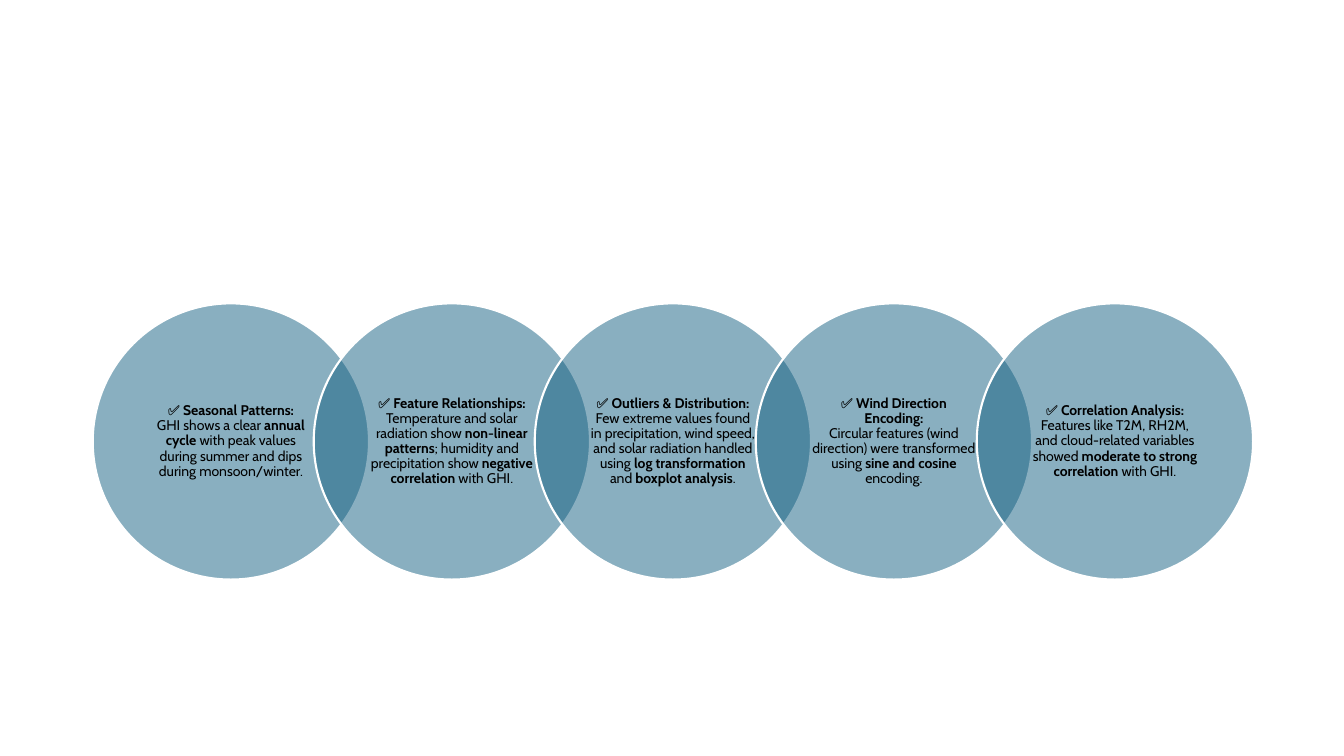
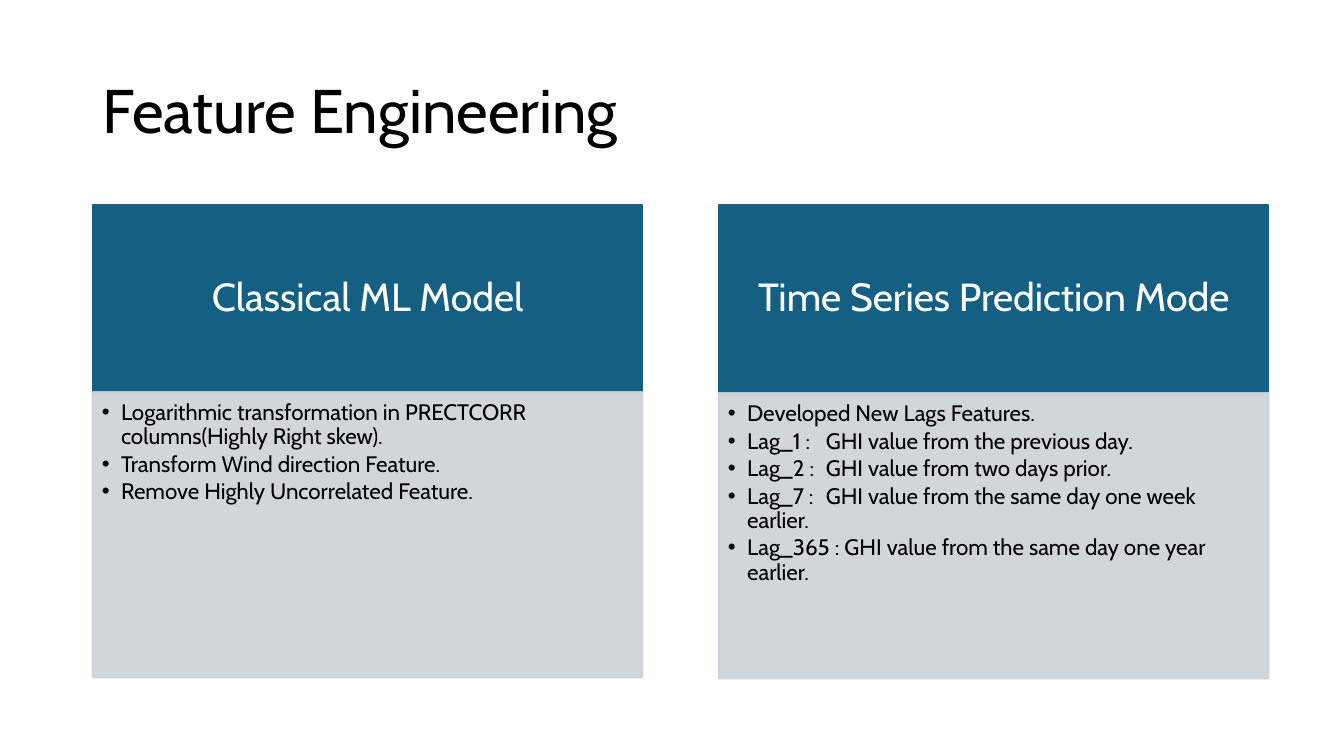
from copy import deepcopy

from lxml import etree
from pptx import Presentation
from pptx.dml.color import RGBColor
from pptx.enum import shapes, text
from pptx.oxml import ns
from pptx.util import Inches, Pt

FONT = "Cabin"
BLACK = RGBColor(0x00, 0x00, 0x00)
WHITE = RGBColor(0xFF, 0xFF, 0xFF)
TEAL = RGBColor(0x15, 0x60, 0x82)
GRAY = RGBColor(0xCC, 0xD2, 0xD8)
LEFT = 0.92


def style_shape(shape, fill, line, insets, anchor, alpha=100, line_alpha=100):
    shape.fill.solid()
    shape.fill.fore_color.rgb = fill
    shape.line.color.rgb = line
    shape.line.width = Pt(1.5)
    properties = shape._element.spPr
    line_element = properties.find(ns.qn("a:ln"))
    for parent, percent in ((properties, alpha), (line_element, line_alpha)):
        if percent < 100:
            color = parent.find(ns.qn("a:solidFill"))[0]
            etree.SubElement(color, ns.qn("a:alpha"), val=str(percent * 1000))
    frame = shape.text_frame
    frame.word_wrap = True
    frame.auto_size = text.MSO_AUTO_SIZE.NONE
    frame.vertical_anchor = anchor
    (frame.margin_left, frame.margin_top,
     frame.margin_right, frame.margin_bottom) = map(Inches, insets)


def style_paragraph(paragraph, size, color, align, space_after=0):
    paragraph.alignment = align
    paragraph.line_spacing = 0.9
    paragraph.space_before = Pt(0)
    paragraph.space_after = Pt(space_after)
    for run in paragraph.runs:
        run.font.name = FONT
        run.font.size = Pt(size)
        run.font.color.rgb = color
        run.font.bold = bool(run.font.bold)


presentation = Presentation()
presentation.slide_width = Inches(13.33)
presentation.slide_height = Inches(7.5)

FINDINGS = [
    ("Seasonal Patterns:",
     "GHI shows a clear |annual cycle| with peak values during summer and dips "
     "during monsoon/winter."),
    ("Feature Relationships:",
     "Temperature and solar radiation show |non-linear patterns|; humidity and "
     "precipitation show |negative correlation| with GHI."),
    ("Outliers & Distribution:",
     "Few extreme values found in precipitation, wind speed, and solar radiation "
     "handled using |log transformation| and |boxplot analysis|."),
    ("Wind Direction Encoding:",
     "Circular features (wind direction) were transformed using "
     "|sine and cosine| encoding."),
    ("Correlation Analysis:",
     "Features like T2M, RH2M, and cloud-related variables showed "
     "|moderate to strong correlation| with GHI."),
]
DIAMETER = 2.74
CIRCLE_STEP = DIAMETER * 0.8

slide = presentation.slides.add_slide(presentation.slide_layouts[6])
for index, (heading, finding) in enumerate(FINDINGS):
    circle = slide.shapes.add_shape(
        shapes.MSO_SHAPE.OVAL, Inches(LEFT + index * CIRCLE_STEP), Inches(3.01),
        Inches(DIAMETER), Inches(DIAMETER))
    circle.shadow.inherit = False
    style_shape(circle, TEAL, WHITE, (0.15, 0.01, 0.15, 0.01),
                text.MSO_ANCHOR.MIDDLE, alpha=50)
    paragraph = circle.text_frame.paragraphs[0]
    for position, part in enumerate(["✅ ", heading, *finding.split("|")]):
        run = paragraph.add_run()
        run.text = part
        run.font.bold = position % 2 == 1
        if position == 1:
            paragraph.add_line_break()
    style_paragraph(paragraph, 10, BLACK, text.PP_ALIGN.CENTER)
    line_break = paragraph._p.find(ns.qn("a:br"))
    line_break.append(deepcopy(paragraph.runs[1]._r.rPr))

PANELS = [
    ("Classical ML Model", 3.89, [
        "Logarithmic transformation in PRECTCORR columns(Highly Right skew).",
        "Transform Wind direction Feature.",
        "Remove Highly Uncorrelated Feature."]),
    ("Time Series Prediction Mode", 3.9, [
        "Developed New Lags Features.",
        "Lag_1 :\tGHI value from the previous day.",
        "Lag_2 :\tGHI value from two days prior.",
        "Lag_7 :\tGHI value from the same day one week earlier.",
        "Lag_365 : GHI value from the same day one year earlier."]),
]
PANEL_WIDTH = 5.45
PANEL_STEP = 6.21
HEADER_TOP = 2.03
BULLET_INDENT = Inches(0.19)
TAB_STOP = Inches(0.97)

slide = presentation.slides.add_slide(presentation.slide_layouts[4])
title = slide.shapes.title
title.left, title.top = Inches(LEFT), Inches(0.4)
title.width, title.height = Inches(11.5), Inches(1.45)
title.text_frame.text = "Feature Engineering"
title.text_frame.vertical_anchor = text.MSO_ANCHOR.MIDDLE
style_paragraph(title.text_frame.paragraphs[0], 44, BLACK, text.PP_ALIGN.LEFT)

for index, (heading, list_top, items) in enumerate(PANELS):
    header = slide.placeholders[1 + 2 * index]
    body = slide.placeholders[2 + 2 * index]
    for shape, top, height in ((header, HEADER_TOP, 1.86), (body, list_top, 2.83)):
        shape.left, shape.top = Inches(LEFT + index * PANEL_STEP), Inches(top)
        shape.width, shape.height = Inches(PANEL_WIDTH), Inches(height)

    header.text_frame.text = heading
    style_shape(header, TEAL, TEAL, (0.22, 0.12, 0.22, 0.12), text.MSO_ANCHOR.MIDDLE)
    style_paragraph(header.text_frame.paragraphs[0], 28, WHITE, text.PP_ALIGN.CENTER)

    body.text_frame.text = "\n".join(items)
    style_shape(body, GRAY, GRAY, (0.09, 0.09, 0.12, 0.14), text.MSO_ANCHOR.TOP,
                alpha=90, line_alpha=90)
    for paragraph in body.text_frame.paragraphs:
        style_paragraph(paragraph, 16, BLACK, text.PP_ALIGN.LEFT, space_after=2.4)
        properties = paragraph._p.get_or_add_pPr()
        properties.set("marL", str(BULLET_INDENT))
        properties.set("indent", str(-BULLET_INDENT))
        bullet = etree.SubElement(properties, ns.qn("a:buChar"))
        bullet.set("char", "•")
        if "\t" in paragraph.text:
            tabs = etree.SubElement(properties, ns.qn("a:tabLst"))
            etree.SubElement(tabs, ns.qn("a:tab"), pos=str(TAB_STOP), algn="l")

presentation.save("out.pptx")
